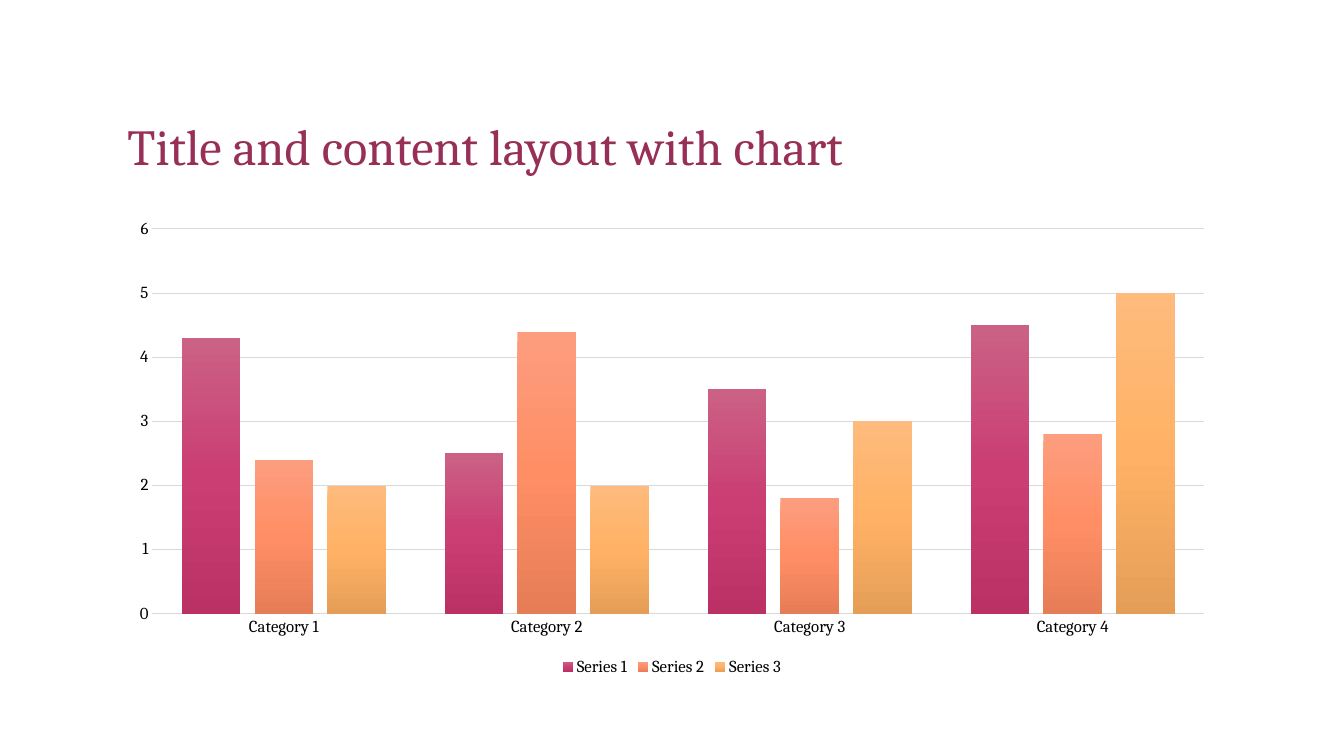
import copy
import pptx
import pptx.chart.data
import pptx.dml.color
import pptx.enum.chart
import pptx.enum.text
import pptx.oxml.ns
import pptx.util

Pt = pptx.util.Pt
RGB = pptx.dml.color.RGBColor
ENUM = pptx.enum.chart

FONT = "Cambria"
PLUM = RGB(0x97, 0x2F, 0x57)
BLACK = RGB(0, 0, 0)
GREY = RGB(0xD9, 0xD9, 0xD9)
PINKS = RGB(0xCB, 0x61, 0x85), RGB(0xCA, 0x3E, 0x73), RGB(0xBB, 0x30, 0x65)
CORALS = RGB(0xFC, 0x9D, 0x7E), RGB(0xFF, 0x8E, 0x65), RGB(0xE5, 0x7D, 0x57)
AMBERS = RGB(0xFE, 0xBB, 0x7D), RGB(0xFF, 0xB2, 0x65), RGB(0xE5, 0x9E, 0x57)


def style(font, size, color):
    font.name = FONT
    font.size = Pt(size)
    font.color.rgb = color


def rule(line):
    line.color.rgb = GREY
    line.width = Pt(0.75)


deck = pptx.Presentation()
deck.slide_width, deck.slide_height = Pt(960), Pt(540)
slide = deck.slides.add_slide(deck.slide_layouts[6])

# Title
box = slide.shapes.add_textbox(Pt(84), Pt(36), Pt(792), Pt(93.6))
frame = box.text_frame
frame.word_wrap = True
frame.vertical_anchor = pptx.enum.text.MSO_ANCHOR.BOTTOM
para = frame.paragraphs[0]
para.line_spacing = 0.9
run = para.add_run()
run.text = "Title and content layout with chart"
style(run.font, 36, PLUM)

# Chart data
data = pptx.chart.data.CategoryChartData()
data.categories = [f"Category {n}" for n in range(1, 5)]
data.add_series("Series 1", (4.3, 2.5, 3.5, 4.5))
data.add_series("Series 2", (2.4, 4.4, 1.8, 2.8))
data.add_series("Series 3", (2, 2, 3, 5))
chart = slide.shapes.add_chart(
    ENUM.XL_CHART_TYPE.COLUMN_CLUSTERED,
    Pt(84), Pt(150), Pt(792), Pt(336), data).chart
chart.has_title = False
style(chart.font, 12, BLACK)

# Columns with three-stop gradients
plot = chart.plots[0]
plot.gap_width = 100
plot.overlap = -24
plot.vary_by_categories = False
for series, shades in zip(plot.series, (PINKS, CORALS, AMBERS)):
    fill = series.format.fill
    fill.gradient()
    fill.gradient_angle = 270
    stops = series._element.find(".//" + pptx.oxml.ns.qn("a:gsLst"))
    stops.insert(1, copy.deepcopy(stops[0]))
    for stop, shade, place in zip(fill.gradient_stops, shades, (0, 0.5, 1)):
        stop.color.rgb = shade
        stop.position = place

# Axes
for axis in (chart.category_axis, chart.value_axis):
    axis.major_tick_mark = ENUM.XL_TICK_MARK.NONE
    axis.minor_tick_mark = ENUM.XL_TICK_MARK.NONE
    style(axis.tick_labels.font, 12, BLACK)
rule(chart.category_axis.format.line)
scale = chart.value_axis
scale.minimum_scale, scale.maximum_scale, scale.major_unit = 0, 6, 1
scale.format.line.fill.background()
scale.has_major_gridlines = True
rule(scale.major_gridlines.format.line)

# Legend
chart.has_legend = True
chart.legend.position = ENUM.XL_LEGEND_POSITION.BOTTOM
chart.legend.include_in_layout = False
style(chart.legend.font, 12, BLACK)

deck.save("out.pptx")
